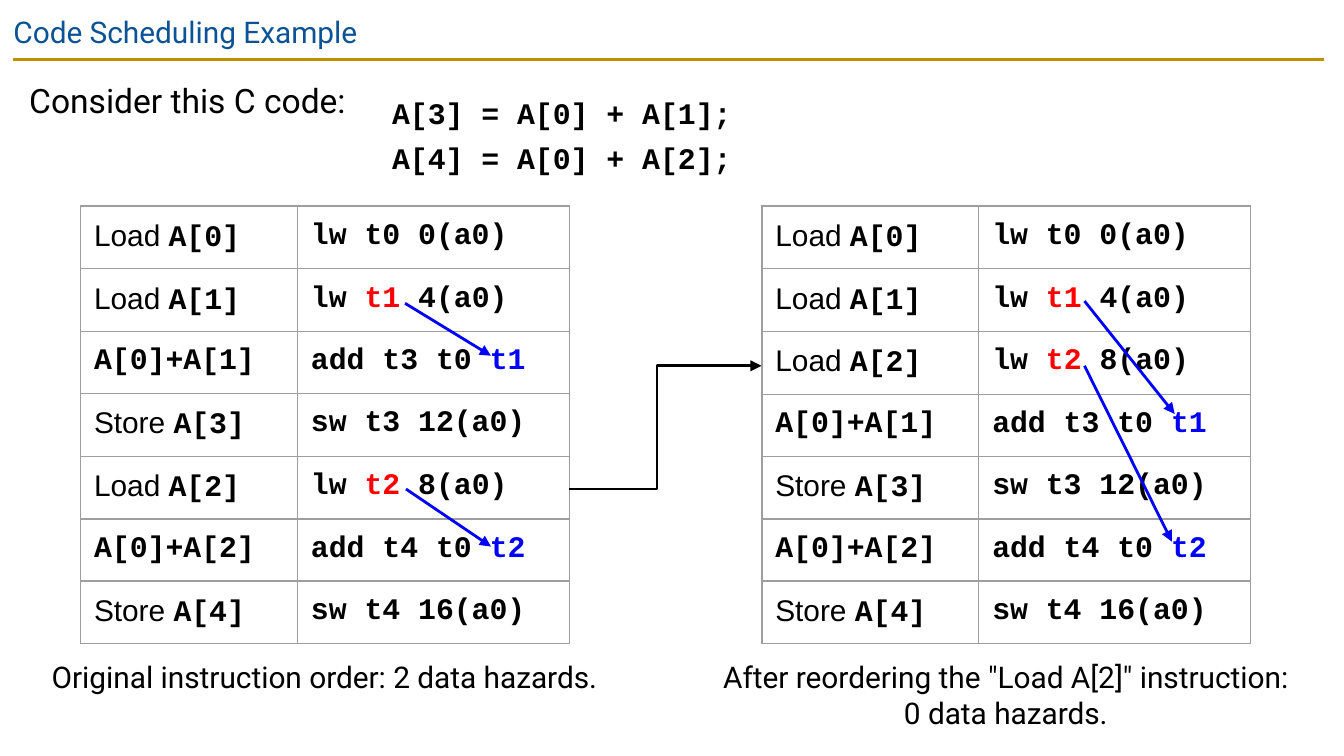
from pptx import Presentation
from pptx.dml.color import RGBColor
from pptx.enum.shapes import MSO_CONNECTOR
from pptx.enum.text import MSO_ANCHOR, PP_ALIGN
from pptx.oxml import parse_xml
from pptx.oxml.ns import nsdecls
from pptx.util import Pt

COLORS = {
    "black": "000000", "title": "0B5394", "rule": "BF9000",
    "grid": "9E9E9E", "red": "FF0000", "blue": "0000FF",
}
STYLES = {
    "title": dict(name="Roboto", size=Pt(16), bold=False, color="title"),
    "intro": dict(name="Roboto", size=Pt(18), bold=False, color="black"),
    "caption": dict(name="Roboto", size=Pt(16), bold=False, color="black"),
    "label": dict(name="Arial", size=Pt(16), bold=False, color="black"),
    "code": dict(name="Courier New", size=Pt(16), bold=True, color="black"),
    "loaded": dict(name="Courier New", size=Pt(16), bold=True, color="red"),
    "used": dict(name="Courier New", size=Pt(16), bold=True, color="blue"),
}

TITLE = "Code Scheduling Example"
NOTES = [
    ("Consider this C code:", "intro", (8.6, 32.5, 210, 52), PP_ALIGN.LEFT, 1.15),
    ("A[3] = A[0] + A[1];\vA[4] = A[0] + A[2];", "code",
     (203, 38.9, 236, 56), PP_ALIGN.LEFT, 1.25),
    ("Original instruction order: 2 data hazards.", "caption",
     (16.6, 345.6, 314.6, 34), PP_ALIGN.CENTER, 1),
    ('After reordering the "Load A[2]" instruction: 0 data hazards.', "caption",
     (374.4, 345.6, 329, 53), PP_ALIGN.CENTER, 1),
]

INSTRUCTIONS = [
    ([("Load ", "label"), ("A[0]", "code")], [("lw t0 0(a0)", "code")]),
    ([("Load ", "label"), ("A[1]", "code")],
     [("lw ", "code"), ("t1", "loaded"), (" 4(a0)", "code")]),
    ([("A[0]+A[1]", "code")], [("add t3 t0 ", "code"), ("t1", "used")]),
    ([("Store ", "label"), ("A[3]", "code")], [("sw t3 12(a0)", "code")]),
    ([("Load ", "label"), ("A[2]", "code")],
     [("lw ", "code"), ("t2", "loaded"), (" 8(a0)", "code")]),
    ([("A[0]+A[2]", "code")], [("add t4 t0 ", "code"), ("t2", "used")]),
    ([("Store ", "label"), ("A[4]", "code")], [("sw t4 16(a0)", "code")]),
]
SCHEDULES = [
    (43.2, [0, 1, 2, 3, 4, 5, 6]),
    (408.2, [0, 1, 4, 2, 3, 5, 6]),
]
TABLE_TOP, ROW_HEIGHT, COLUMN_WIDTHS = 110.4, 33.2, (116.2, 145.6)
DEPENDENCIES = [
    ((217, 162.5), (263, 190.6)),
    ((217.5, 262), (263, 292.8)),
    ((581, 161.3), (629.3, 221.8)),
    ((581, 196), (627.8, 290.2)),
]
REORDER_PATH = [(304.6, 262), (352, 262), (352, 195.8), (408.2, 195.8)]


def rgb(color):
    return RGBColor.from_string(COLORS[color])


def add_run(paragraph, text, style):
    run = paragraph.add_run()
    run.text = text
    for key, value in STYLES[style].items():
        if key == "color":
            run.font.color.rgb = rgb(value)
        else:
            setattr(run.font, key, value)


def set_frame(frame):
    margins = {f"margin_{side}": Pt(7.2) for side in ("left", "top", "right", "bottom")}
    for key, value in dict(margins, word_wrap=True, vertical_anchor=MSO_ANCHOR.TOP).items():
        setattr(frame, key, value)


def add_note(slide, text, style, box, alignment, spacing):
    frame = slide.shapes.add_textbox(*map(Pt, box)).text_frame
    set_frame(frame)
    paragraph = frame.paragraphs[0]
    paragraph.alignment = alignment
    paragraph.line_spacing = spacing
    for index, line in enumerate(text.split("\v")):
        if index:
            paragraph.add_line_break()
        add_run(paragraph, line, style)


def style_line(line, color, arrow):
    line.color.rgb = rgb(color)
    line.width = Pt(1.5)
    if arrow:
        line._get_or_add_ln().append(
            parse_xml(f'<a:tailEnd {nsdecls("a")} type="triangle"/>'))


def add_line(slide, start, end, color, arrow=True):
    connector = slide.shapes.add_connector(
        MSO_CONNECTOR.STRAIGHT, *map(Pt, start + end))
    style_line(connector.line, color, arrow)
    connector._element.spPr.append(parse_xml(f'<a:effectLst {nsdecls("a")}/>'))


def set_borders(cell):
    properties = cell._tc.get_or_add_tcPr()
    for index, side in enumerate(("lnL", "lnR", "lnT", "lnB")):
        properties.insert(index, parse_xml(
            f'<a:{side} {nsdecls("a")} w="{Pt(0.75)}"><a:solidFill>'
            f'<a:srgbClr val="{COLORS["grid"]}"/></a:solidFill></a:{side}>'))


def add_schedule(slide, left, order):
    table = slide.shapes.add_table(
        len(order), len(COLUMN_WIDTHS), Pt(left), Pt(TABLE_TOP),
        Pt(sum(COLUMN_WIDTHS)), Pt(ROW_HEIGHT * len(order))).table
    table.first_row = table.horz_banding = False
    for column, width in zip(table.columns, COLUMN_WIDTHS):
        column.width = Pt(width)
    for row, instruction in enumerate(order):
        table.rows[row].height = Pt(ROW_HEIGHT)
        for column, runs in enumerate(INSTRUCTIONS[instruction]):
            cell = table.cell(row, column)
            cell.fill.background()
            cell.margin_left = cell.margin_right = Pt(7.2)
            cell.margin_top = cell.margin_bottom = Pt(7.2)
            set_borders(cell)
            for text, style in runs:
                add_run(cell.text_frame.paragraphs[0], text, style)


def main():
    deck = Presentation()
    deck.slide_width, deck.slide_height = Pt(720), Pt(405)
    slide = deck.slides.add_slide(deck.slide_layouts[5])

    add_line(slide, (7.2, 31.7), (709.2, 31.7), "rule", arrow=False)
    title = slide.shapes.title
    title.left, title.top, title.width, title.height = map(Pt, (0, 0, 720, 31))
    set_frame(title.text_frame)
    heading = title.text_frame.paragraphs[0]
    heading.alignment = PP_ALIGN.LEFT
    add_run(heading, TITLE, "title")

    for left, order in SCHEDULES:
        add_schedule(slide, left, order)

    builder = slide.shapes.build_freeform(*REORDER_PATH[0], scale=Pt(1))
    builder.add_line_segments(REORDER_PATH[1:], close=False)
    reorder = builder.convert_to_shape()
    reorder.shadow.inherit = False
    reorder.fill.background()
    style_line(reorder.line, "black", arrow=True)

    for start, end in DEPENDENCIES:
        add_line(slide, start, end, "blue")
    for note in NOTES:
        add_note(slide, *note)

    deck.save("out.pptx")


if __name__ == "__main__":
    main()
